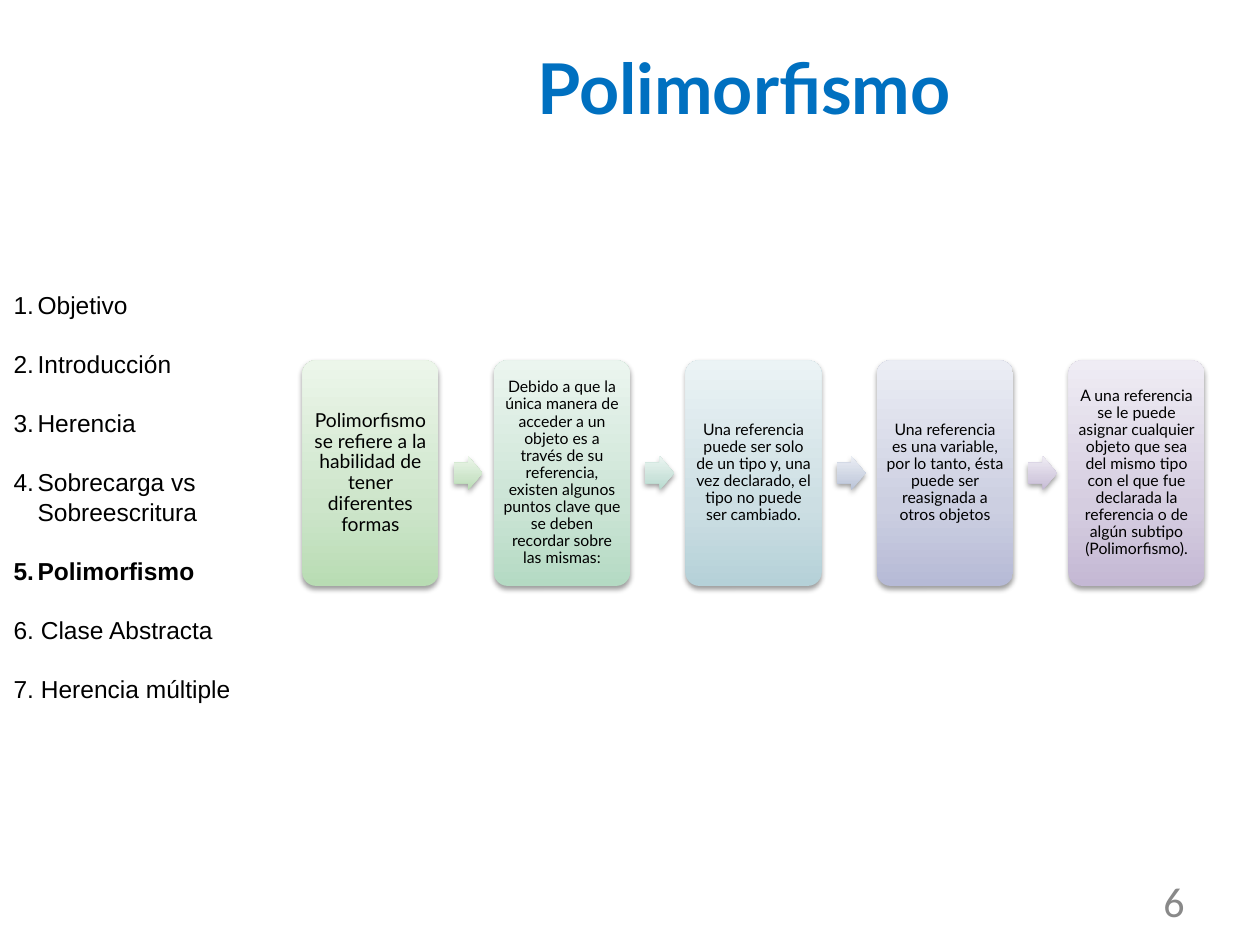
from lxml import etree
from pptx import Presentation
from pptx.dml.color import RGBColor
from pptx.enum.shapes import MSO_SHAPE
from pptx.enum.text import MSO_ANCHOR, PP_ALIGN
from pptx.oxml import parse_xml
from pptx.oxml.ns import nsdecls, qn
from pptx.util import Inches, Pt

CENTER, RIGHT = PP_ALIGN.CENTER, PP_ALIGN.RIGHT
MIDDLE = MSO_ANCHOR.MIDDLE
ROUNDED, ARROW = MSO_SHAPE.ROUNDED_RECTANGLE, MSO_SHAPE.RIGHT_ARROW

BLACK = RGBColor(0x00, 0x00, 0x00)
BLUE = RGBColor(0x00, 0x70, 0xC0)
GRAY = RGBColor(0x89, 0x89, 0x89)


def gradient(*codes):
    return [RGBColor.from_string(code) for code in codes]


GREEN = gradient("B8DCB3", "CDE5CA", "ECF6EA")
MINT = gradient("B4DAC3", "CBE4D5", "EBF5EF")
AQUA = gradient("B4D9CC", "CBE3DB", "EBF5F1")
TEAL = gradient("B5D1D8", "CCDEE3", "EBF3F5")
STEEL = gradient("B6C0D6", "CCD3E2", "EBEEF4")
INDIGO = gradient("B6BAD6", "CCCFE1", "EBEDF4")
PURPLE = gradient("C4B8D4", "D5CDE0", "EFECF4")
GRADIENT_STOPS = (0, 35, 100)

AGENDA = ["Objetivo", "Introducción", "Herencia", "Sobrecarga vs Sobreescritura",
          "Polimorfismo", "6. Clase Abstracta", "7. Herencia múltiple"]
NUMBERED_ITEMS = 5
CURRENT_ITEM = "Polimorfismo"

CARDS = [
    ("Polimorfismo se refiere a la habilidad de tener diferentes formas", 11, 0.05, GREEN),
    ("Debido a que la única manera de acceder a un objeto es a través de su referencia, "
     "existen algunos puntos clave que se deben recordar sobre las mismas:", 9, 0.04, MINT),
    ("Una referencia puede ser solo de un tipo y, una vez declarado, el tipo no puede "
     "ser cambiado.", 9, 0.04, TEAL),
    ("Una referencia es una variable, por lo tanto, ésta puede ser reasignada a otros "
     "objetos", 9, 0.04, INDIGO),
    ("A una referencia se le puede asignar cualquier objeto que sea del mismo tipo con el "
     "que fue declarada la referencia o de algún subtipo (Polimorfismo).", 9, 0.04, PURPLE),
]
ARROW_COLORS = [GREEN, AQUA, STEEL, PURPLE]


def add_run(paragraph, text, size, font_name, color, bold=False):
    run = paragraph.add_run()
    run.text = text
    run.font.size = Pt(size)
    run.font.name = font_name
    run.font.color.rgb = color
    run.font.bold = bold


def add_text_frame(slide, box):
    frame = slide.shapes.add_textbox(*box).text_frame
    frame.word_wrap = True
    return frame


def add_line(slide, box, alignment, *style):
    frame = add_text_frame(slide, box)
    frame.vertical_anchor = MIDDLE
    paragraph = frame.paragraphs[0]
    paragraph.alignment = alignment
    add_run(paragraph, *style)


def add_agenda(slide, box):
    frame = add_text_frame(slide, box)
    for index, item in enumerate(AGENDA):
        paragraph = frame.paragraphs[0] if index == 0 else frame.add_paragraph()
        if index:
            paragraph.space_before = Pt(17)
        if index < NUMBERED_ITEMS:
            properties = paragraph._p.get_or_add_pPr()
            properties.set("marL", str(Inches(0.19)))
            properties.set("indent", str(-Inches(0.19)))
            bullet = etree.SubElement(properties, qn("a:buAutoNum"))
            bullet.set("type", "arabicPeriod")
        add_run(paragraph, item, 14, "Arial", BLACK, item == CURRENT_ITEM)


def add_gradient_shape(slide, kind, box, adjustments, colors):
    shape = slide.shapes.add_shape(kind, *box)
    for index, value in enumerate(adjustments):
        shape.adjustments[index] = value
    shape.line.fill.background()
    stops = "".join(
        f'<a:gs pos="{position * 1000}"><a:srgbClr val="{color}"/></a:gs>'
        for position, color in zip(GRADIENT_STOPS, colors))
    fill = parse_xml(f'<a:gradFill {nsdecls("a")} rotWithShape="1"><a:gsLst>{stops}</a:gsLst>'
                     '<a:lin ang="16200000" scaled="0"/></a:gradFill>')
    shadow = parse_xml(
        f'<a:effectLst {nsdecls("a")}><a:outerShdw blurRad="{Pt(3.1)}" dist="{Pt(1.6)}" '
        'dir="5400000" rotWithShape="0"><a:srgbClr val="000000"><a:alpha val="38000"/>'
        '</a:srgbClr></a:outerShdw></a:effectLst>')
    properties = shape._element.spPr
    properties.find(qn("a:ln")).addprevious(fill)
    properties.append(shadow)
    return shape


def add_card(slide, box, text, size, inset, colors):
    frame = add_gradient_shape(slide, ROUNDED, box, [0.1], colors).text_frame
    frame.word_wrap = True
    frame.vertical_anchor = MIDDLE
    frame.margin_left = frame.margin_right = Inches(inset)
    frame.margin_top = frame.margin_bottom = Inches(inset)
    paragraph = frame.paragraphs[0]
    paragraph.alignment = CENTER
    paragraph.line_spacing = 0.9
    add_run(paragraph, text, size, "Lato", BLACK)


def add_process(slide, box):
    left, top, width, height = box
    card_width = Inches(1.08)
    arrow_width, arrow_height = Inches(0.23), Inches(0.27)
    pitch = (width - card_width) // (len(CARDS) - 1)
    arrow_top = top + (height - arrow_height) // 2
    for index, card in enumerate(CARDS):
        card_left = left + index * pitch
        add_card(slide, (card_left, top, card_width, height), *card)
        if index < len(ARROW_COLORS):
            arrow_box = (card_left + Inches(1.2), arrow_top, arrow_width, arrow_height)
            add_gradient_shape(slide, ARROW, arrow_box, [0.6, 0.5], ARROW_COLORS[index])


def inches_box(*lengths):
    return tuple(Inches(length) for length in lengths)


def main():
    presentation = Presentation()
    presentation.slide_width, presentation.slide_height = Inches(10), Inches(7.5)
    slide = presentation.slides.add_slide(presentation.slide_layouts[6])
    add_line(slide, inches_box(7.17, 6.95, 2.33, 0.4), RIGHT, "6", 24, "Calibri", GRAY)
    add_line(slide, inches_box(2.08, 0.06, 7.65, 1.25), CENTER,
             "Polimorfismo", 40, "Lato", BLUE, True)
    add_agenda(slide, inches_box(0.01, 2.25, 2.16, 3.4))
    add_process(slide, inches_box(2.4, 2.86, 7.16, 1.79))
    presentation.save("out.pptx")


if __name__ == "__main__":
    main()
